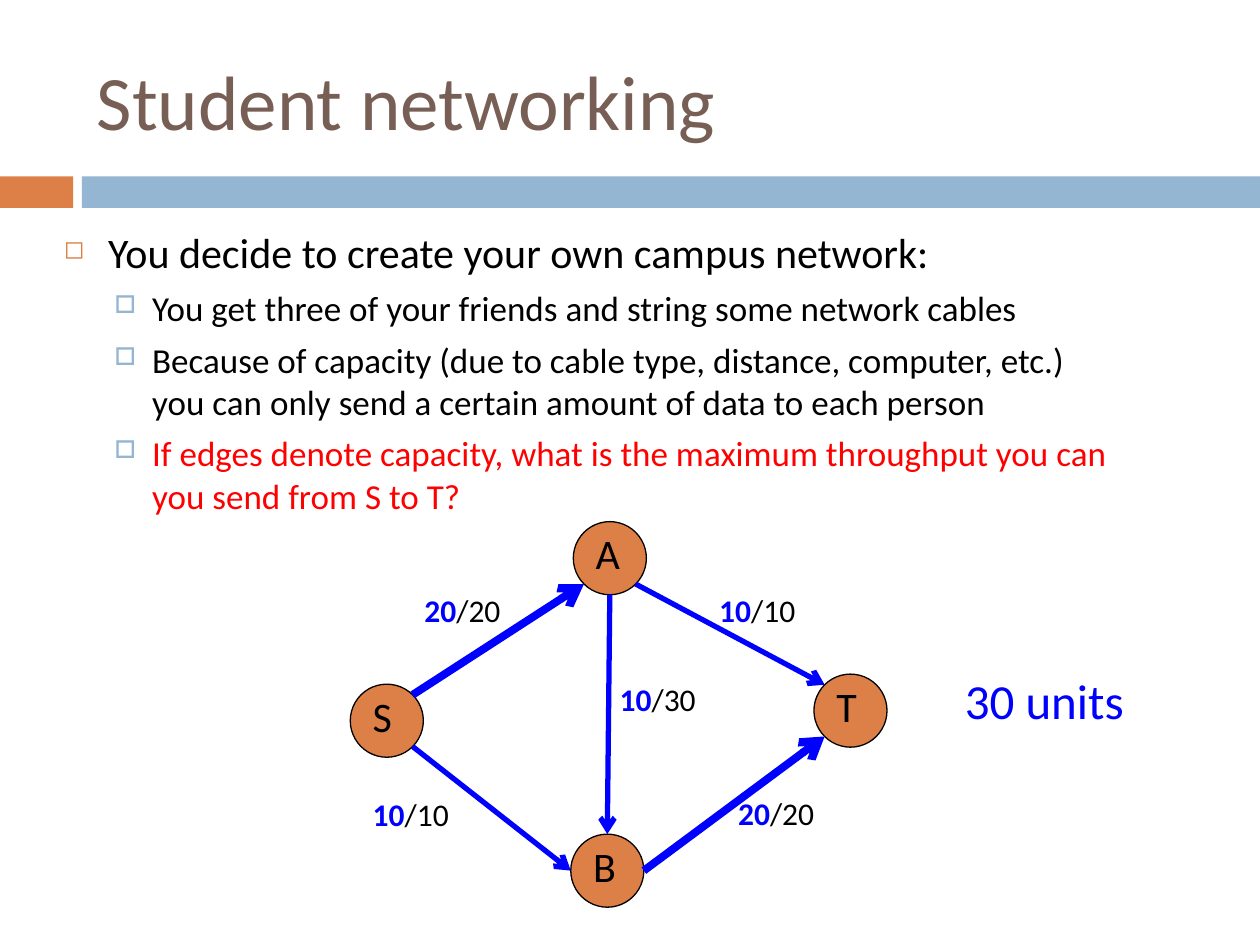
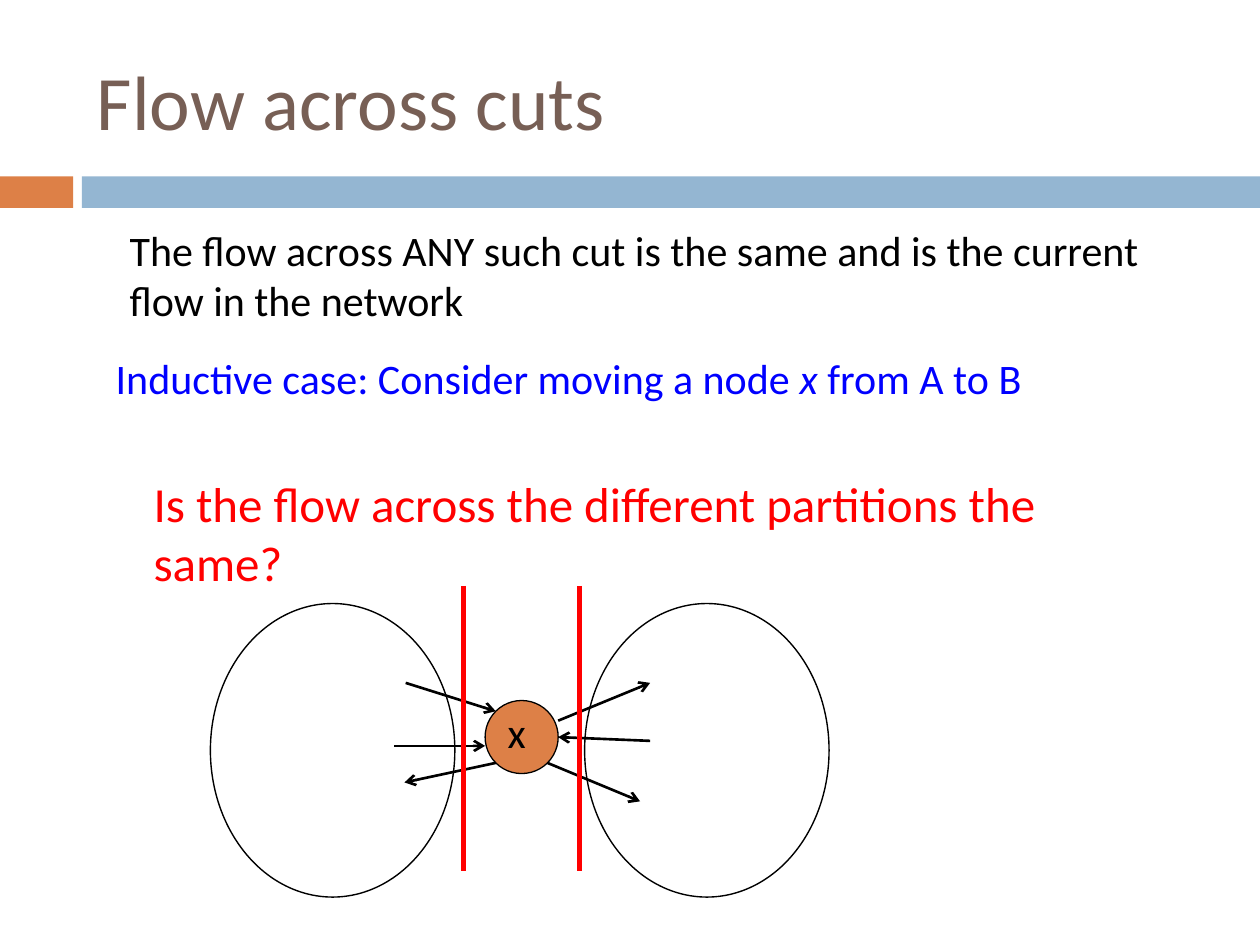
from dataclasses import dataclass
from math import sqrt

from lxml.etree import SubElement
from pptx import Presentation
from pptx.dml.color import RGBColor
from pptx.enum.shapes import MSO_CONNECTOR, MSO_SHAPE
from pptx.enum.text import MSO_ANCHOR
from pptx.oxml.ns import qn
from pptx.util import Inches, Pt


@dataclass(frozen=True)
class Theme:
    font: str = "Calibri"
    title: str = "775F55"
    accent: str = "DD8047"
    band: str = "94B6D2"
    ink: str = "000000"
    blue: str = "0000FF"
    red: str = "FF0000"
    head: int = 44
    big: int = 28
    lead: int = 24
    sub: int = 20
    small: int = 18


T = Theme()

# Grid: 10 columns by 7.5 rows, each cell one inch
COLS, ROWS = 10, 7.5
CELL = Inches(1)
RADIUS = 0.29
DIAG = RADIUS / sqrt(2)
SIDES = {
    "N": (0, -RADIUS), "S": (0, RADIUS), "W": (-RADIUS, 0), "E": (RADIUS, 0),
    "NW": (-DIAG, -DIAG), "NE": (DIAG, -DIAG),
    "SW": (-DIAG, DIAG), "SE": (DIAG, DIAG),
}


def grid(*cells):
    return [round(cell * CELL) for cell in cells]


def style(run, size, color, bold=False, italic=False):
    font = run.font
    font.name, font.size = T.font, Pt(size)
    font.bold, font.italic = bold, italic
    font.color.rgb = RGBColor.from_string(color)


# Basic elements
def shape(slide, kind, at, fill=None, line=None):
    item = slide.shapes.add_shape(kind, *grid(*at))
    item.shadow.inherit = False
    if fill:
        item.fill.solid()
        item.fill.fore_color.rgb = RGBColor.from_string(fill)
    else:
        item.fill.background()
    if line:
        item.line.color.rgb = RGBColor.from_string(T.ink)
        item.line.width = Pt(line)
    else:
        item.line.fill.background()
    return item


def frame(slide, at):
    body = slide.shapes.add_textbox(*grid(*at)).text_frame
    body.word_wrap = True
    return body


def text(slide, at, words, size, color):
    body = frame(slide, at)
    body.text = words
    style(body.paragraphs[0].runs[0], size, color)
    return body


def mixed(slide, at, size, *parts):
    """One line of runs; each part is (words, color, bold, italic)."""
    line = frame(slide, at).paragraphs[0]
    for words, *look in parts:
        run = line.add_run()
        run.text = words
        style(run, size, *look)


def line(slide, start, end, color, width, arrow=True):
    link = slide.shapes.add_connector(
        MSO_CONNECTOR.STRAIGHT, *grid(*start, *end))
    link.line.color.rgb = RGBColor.from_string(color)
    link.line.width = Pt(width)
    if arrow:
        SubElement(link.line._get_or_add_ln(), qn("a:tailEnd"), type="arrow")
    SubElement(link._element.spPr, qn("a:effectLst"))


def bullet(para, mark, color, share, left, hang):
    props = para._p.get_or_add_pPr()
    props.set("marL", str(Inches(left)))
    props.set("indent", str(-Inches(hang)))
    tint = SubElement(props, qn("a:buClr"))
    SubElement(tint, qn("a:srgbClr"), val=color)
    SubElement(props, qn("a:buSzPct"), val=str(share * 1000))
    SubElement(props, qn("a:buChar"), char=mark)


# Parts of the graphs
def node(slide, name, x, y):
    left, top = x - RADIUS, y - RADIUS
    shape(slide, MSO_SHAPE.OVAL, (left, top, 2 * RADIUS, 2 * RADIUS),
          T.accent, 0.75)
    text(slide, (left + 0.08, top, 0.5, 0.5), name, T.lead, T.ink)


def rim(spot, side):
    return tuple(a + b for a, b in zip(spot, SIDES[side]))


def page(deck, title):
    slide = deck.slides.add_slide(deck.slide_layouts[6])
    shape(slide, MSO_SHAPE.RECTANGLE, (0, 1.4, 0.58, 0.25), T.accent)
    shape(slide, MSO_SHAPE.RECTANGLE, (0.65, 1.4, COLS - 0.65, 0.25), T.band)
    body = text(slide, (0.67, 0.25, 8.92, 1.08), title, T.head, T.title)
    body.vertical_anchor = MSO_ANCHOR.MIDDLE
    return slide


def points(slide, at, items):
    """Bulleted list; the first item leads, the others sit below it."""
    body = frame(slide, at)
    body.text = "\n".join(words for words, _ in items)
    for spot, (para, item) in enumerate(zip(body.paragraphs, items)):
        if spot:
            para.level = 1
            para.space_before = Pt(5.5)
            bullet(para, "□", T.band, 70, 0.7, 0.3)
        else:
            bullet(para, "◻", T.accent, 60, 0.35, 0.35)
        style(para.runs[0], T.sub if spot else T.lead, item[1])


def network(deck):
    slide = page(deck, "Student networking")
    spots = {"S": (3.07, 5.72), "A": (4.84, 4.43),
             "B": (4.82, 6.91), "T": (6.75, 5.64)}
    for name, spot in spots.items():
        node(slide, name, *spot)

    # Edges: ends with their sides, flow, capacity, label place
    edges = [
        ("S", "NE", "A", "SW", 20, 20, (3.27, 4.64, 1.09)),
        ("S", "SE", "B", "W", 10, 10, (2.86, 6.26, 1.25)),
        ("B", "E", "T", "SW", 20, 20, (5.76, 6.25, 1.29)),
        ("A", "S", "B", "N", 10, 30, (4.82, 5.35, 0.94)),
        ("A", "SE", "T", "NW", 10, 10, (5.61, 4.64, 1.11)),
    ]
    for tail, out, head, into, flow, cap, place in edges:
        line(slide, rim(spots[tail], out), rim(spots[head], into),
             T.blue, 4.5 if flow == 20 else 3)
        mixed(slide, (*place, 0.4), T.small,
              (str(flow), T.blue, True), (f"/{cap}", T.ink))

    text(slide, (7.56, 5.27, 1.83, 0.57), "30 units", T.big, T.blue)
    points(slide, (0.41, 1.75, 8.53, 2.57), [
        ("You decide to create your own campus network:", T.ink),
        ("You get three of your friends and string some network cables",
         T.ink),
        ("Because of capacity (due to cable type, distance, computer, etc.) "
         "you can only send a certain amount of data to each person", T.ink),
        ("If edges denote capacity, what is the maximum throughput you can "
         "you send from S to T?", T.red),
    ])


def cuts(deck):
    slide = page(deck, "Flow across cuts")
    text(slide, (0.93, 1.73, 8.52, 0.91),
         "The flow across ANY such cut is the same and is the current "
         "flow in the network", T.lead, T.ink)
    mixed(slide, (0.82, 2.75, 8.77, 0.5), T.lead,
          ("Inductive case: Consider moving a node ", T.blue),
          ("x", T.blue, False, True), (" from A to B", T.blue))
    text(slide, (1.12, 3.71, 8.15, 0.57),
         "Is the flow across the different partitions the same?",
         T.big, T.red)

    # Two partitions with the moving node between them
    for left in (1.67, 4.64):
        shape(slide, MSO_SHAPE.OVAL, (left, 4.79, 1.94, 2.33), line=0.79)
    hub = (4.14, 5.85)
    node(slide, "x", *hub)
    flows = [
        ((3.22, 5.42), rim(hub, "NW")),
        ((3.13, 5.92), (3.85, 5.92)),
        (rim(hub, "SW"), (3.21, 6.21)),
        ((4.43, 5.72), (5.16, 5.42)),
        ((5.16, 5.88), rim(hub, "E")),
        (rim(hub, "SE"), (5.08, 6.36)),
    ]
    for start, end in flows:
        line(slide, start, end, T.ink, 1.5)

    # Cut lines
    for x in (3.68, 4.6):
        line(slide, (x, 4.65), (x, 6.91), T.red, 3, arrow=False)


def main():
    deck = Presentation()
    deck.slide_width, deck.slide_height = grid(COLS, ROWS)
    network(deck)
    cuts(deck)
    deck.save("out.pptx")


if __name__ == "__main__":
    main()
